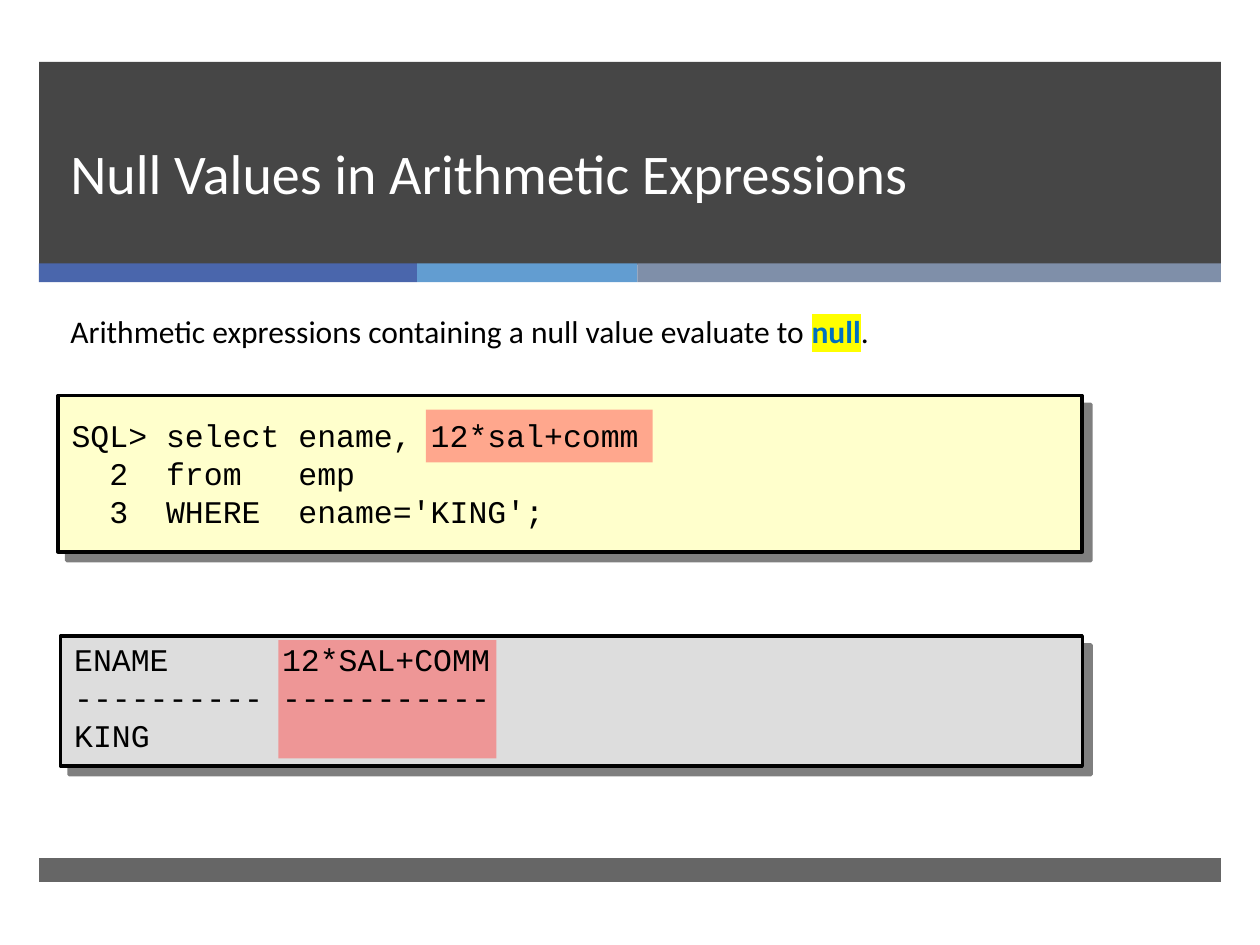
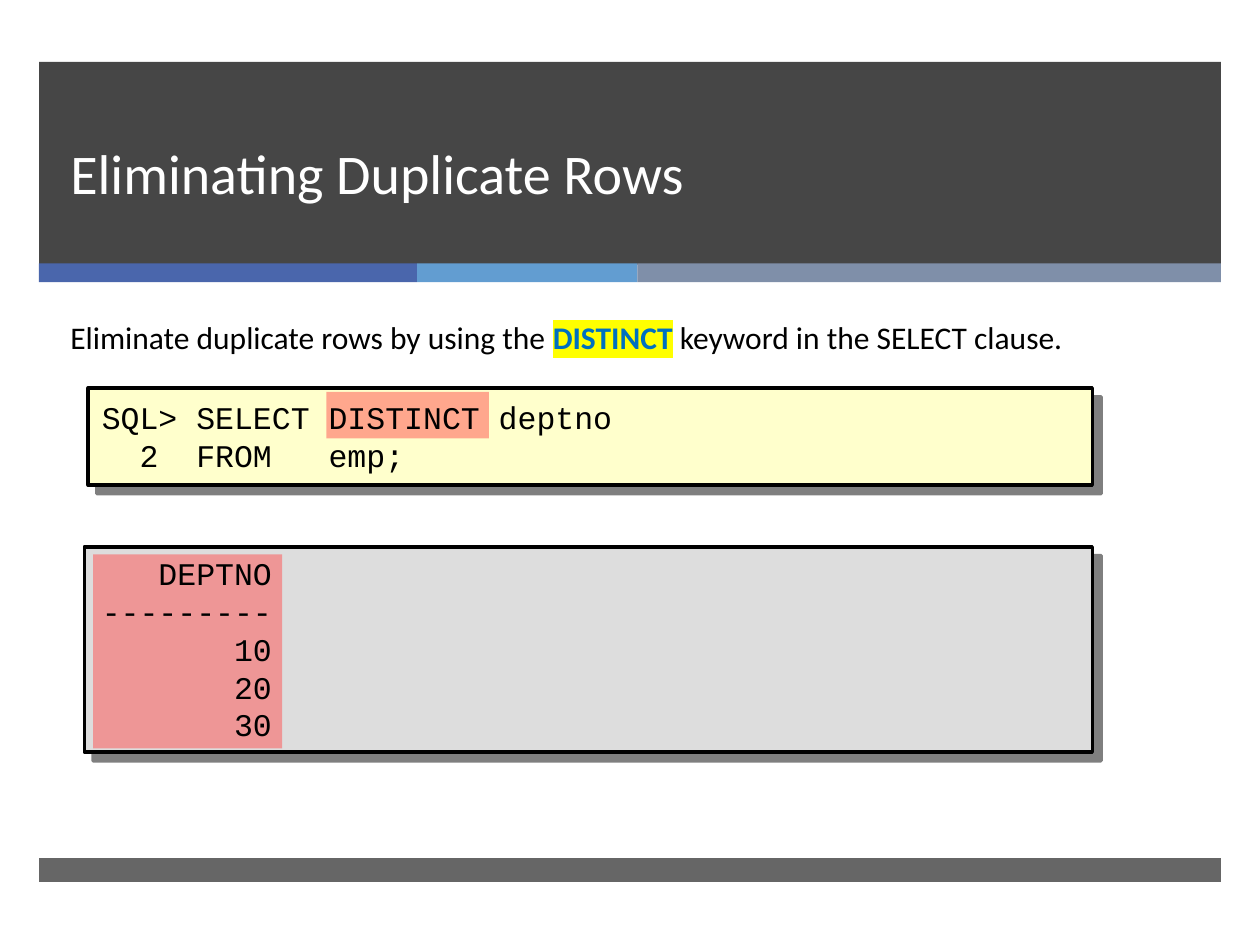
from lxml.etree import SubElement, Element
from pptx import Presentation
from pptx.dml.color import RGBColor
from pptx.enum.shapes import MSO_SHAPE as Shape
from pptx.enum.text import MSO_ANCHOR as Anchor
from pptx.oxml.ns import qn
from pptx.util import Emu, Pt

PX = 9144  # EMU in one px, 100 px to the inch
PAGE_SIZE = (1000, 750)

BLACK = RGBColor(0, 0, 0)
WHITE = RGBColor(255, 255, 255)
CHARCOAL = RGBColor(0x26, 0x26, 0x26)
KEYWORD_BLUE = RGBColor(0x00, 0x70, 0xC0)
MARKER_YELLOW = RGBColor(0xFF, 0xFF, 0x00)
CODE_YELLOW = RGBColor(0xFF, 0xFF, 0xCC)
RESULT_GRAY = RGBColor(0xDD, 0xDD, 0xDD)
ACCENT_RED = RGBColor(0xFF, 0x50, 0x50)
STRIPES = [
    (300, RGBColor(0x4A, 0x66, 0xAC)),
    (175, RGBColor(0x62, 0x9D, 0xD1)),
    (463, RGBColor(0x7F, 0x8F, 0xA9)),
]

BODY_FONT = "Calibri"
CODE_FONT = "Courier New"


def px(*lengths):
    return [Emu(length * PX) for length in lengths]


def sql_lines(*clauses):
    """Number the clauses as the SQL prompt does, keywords in one column."""
    prompts = ["SQL> "] + [f"{n:>3}  " for n in range(2, len(clauses) + 1)]
    return [f"{prompt}{keyword:<6} {rest}"
            for prompt, (keyword, rest) in zip(prompts, clauses)]


def result_lines(columns, *rows):
    """Lay out query output; columns are (heading, width, '<' or '>')."""
    rules = ["-" * width for _, width, _ in columns]
    table = [[heading for heading, _, _ in columns], rules, *rows]
    return [" ".join(f"{cell:{side}{width}}"
                     for cell, (_, width, side) in zip(row, columns)).rstrip()
            for row in table]


class SlideBuilder:
    """Holds the deck's style and the page being drawn."""

    def __init__(self):
        self.deck = Presentation()
        self.deck.slide_width, self.deck.slide_height = px(*PAGE_SIZE)
        self.page = None

    def start_page(self, title):
        self.page = self.deck.slides.add_slide(self.deck.slide_layouts[6])
        # Title band, stripes and footer band
        self.rect((31, 49, 938, 161), CHARCOAL, opacity=85)
        left = 31
        for width, color in STRIPES:
            self.rect((left, 209, width, 15), color)
            left += width
        self.rect((31, 681, 938, 19), CHARCOAL, opacity=70)
        # Title
        frame = self.text_frame((46, 49, 854, 119), Anchor.BOTTOM)
        para = self.paragraph(frame.paragraphs[0], BODY_FONT, 32, WHITE)
        para.line_spacing = Pt(46)
        para.add_run().text = title

    def rect(self, place, color, opacity=100):
        shape = self.page.shapes.add_shape(Shape.RECTANGLE, *px(*place))
        shape.shadow.inherit = False
        shape.fill.solid()
        shape.fill.fore_color.rgb = color
        shape.line.fill.background()
        if opacity < 100:
            self.set_alpha(shape.element.spPr.find(".//" + qn("a:srgbClr")), opacity)
        return shape

    def panel(self, place, color):
        """Outlined box with a hard drop shadow."""
        shape = self.rect(place, color)
        shape.line.color.rgb = BLACK
        shape.line.width = Pt(2)
        effects = shape.element.spPr.find(qn("a:effectLst"))
        shadow = SubElement(effects, qn("a:outerShdw"), blurRad="0",
                            dist=str(Pt(7.1)), dir=str(45 * 60000),
                            algn="ctr", rotWithShape="0")
        self.set_alpha(SubElement(shadow, qn("a:srgbClr"), val=str(BLACK)), 50)

    def accent(self, place):
        self.rect(place, ACCENT_RED, opacity=50)

    def set_alpha(self, color_element, percent):
        SubElement(color_element, qn("a:alpha"), val=str(percent * 1000))

    def text_frame(self, place, anchor=Anchor.TOP):
        frame = self.page.shapes.add_textbox(*px(*place)).text_frame
        frame.word_wrap = True
        frame.vertical_anchor = anchor
        return frame

    def paragraph(self, para, font, size, color):
        para.font.name = font
        para.font.size = Pt(size)
        para.font.color.rgb = color
        return para

    def statement(self, place, before, keyword, after, line_spacing=1.0):
        """One sentence with its keyword highlighted."""
        frame = self.text_frame(place)
        para = self.paragraph(frame.paragraphs[0], BODY_FONT, 18, BLACK)
        para.line_spacing = line_spacing
        for text in (before, keyword, after):
            span = para.add_run()
            span.text = text
            if text == keyword:
                span.font.bold = True
                span.font.color.rgb = KEYWORD_BLUE
                marker = Element(qn("a:highlight"))
                SubElement(marker, qn("a:srgbClr"), val=str(MARKER_YELLOW))
                span.font.fill._xPr.find(qn("a:solidFill")).addnext(marker)

    def listing(self, place, lines, anchor=Anchor.TOP):
        frame = self.text_frame(place, anchor)
        for number, line in enumerate(lines):
            para = frame.add_paragraph() if number else frame.paragraphs[0]
            self.paragraph(para, CODE_FONT, 18, BLACK).add_run().text = line


def null_values_page(builder):
    builder.start_page("Null Values in Arithmetic Expressions")
    builder.statement((46, 243, 808, 99),
                      "Arithmetic expressions containing a null value evaluate to ",
                      "null", ".")
    # Query and result panels
    builder.panel((46, 314, 813, 124), CODE_YELLOW)
    builder.panel((48, 505, 811, 103), RESULT_GRAY)
    builder.accent((338, 325, 180, 42))
    builder.accent((221, 508, 173, 94))
    # Query and result text
    builder.listing((47, 312, 816, 127),
                    sql_lines(("select", "ename, 12*sal+comm"),
                              ("from", "emp"),
                              ("WHERE", "ename='KING';")), Anchor.MIDDLE)
    builder.listing((49, 503, 814, 100),
                    result_lines([("ENAME", 10, "<"), ("12*SAL+COMM", 11, ">")],
                                 ("KING", "")))


def duplicate_rows_page(builder):
    builder.start_page("Eliminating Duplicate Rows")
    builder.statement((46, 250, 917, 39), "Eliminate duplicate rows by using the ",
                      "DISTINCT", " keyword in the SELECT clause.", line_spacing=0.95)
    # Query and result panels
    builder.panel((70, 308, 797, 77), CODE_YELLOW)
    builder.panel((67, 434, 800, 163), RESULT_GRAY)
    builder.accent((259, 311, 129, 37))
    builder.accent((74, 440, 150, 154))
    # Query and result text
    builder.listing((71, 306, 800, 80),
                    sql_lines(("SELECT", "DISTINCT deptno"), ("FROM", "emp;")),
                    Anchor.MIDDLE)
    builder.listing((71, 435, 797, 190),
                    result_lines([("DEPTNO", 9, ">")], ("10",), ("20",), ("30",)))


def main():
    builder = SlideBuilder()
    null_values_page(builder)
    duplicate_rows_page(builder)
    builder.deck.save("out.pptx")


if __name__ == "__main__":
    main()
